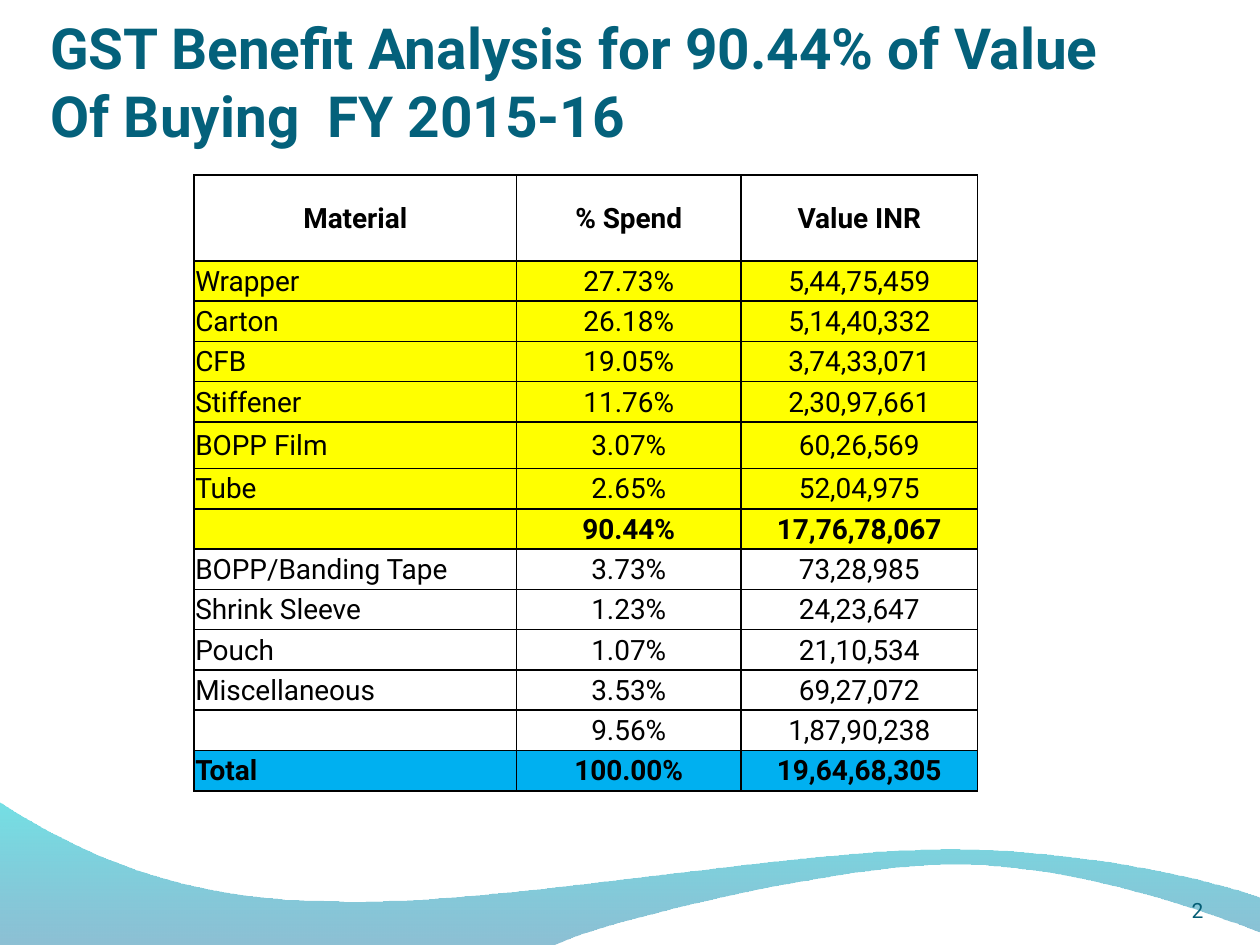
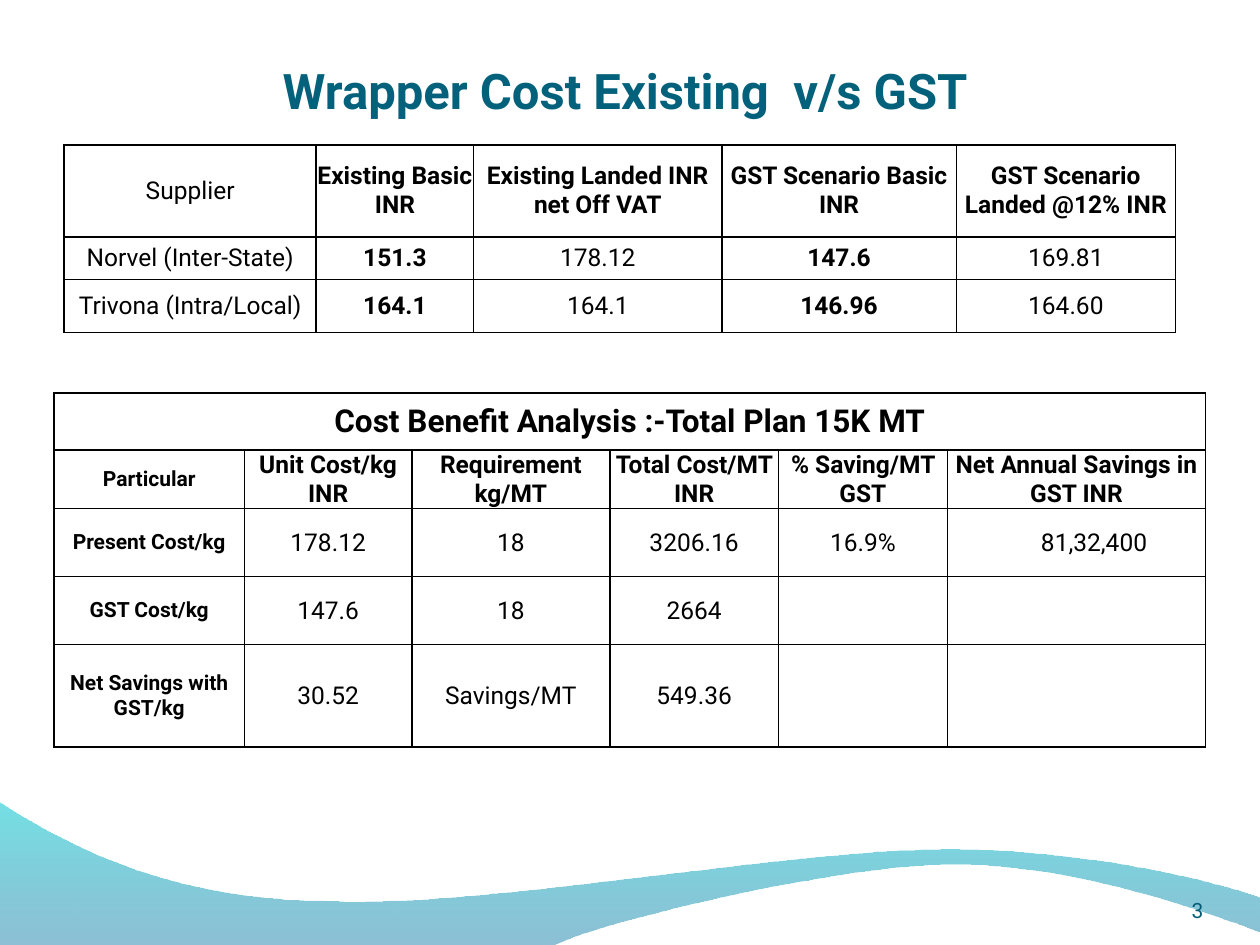
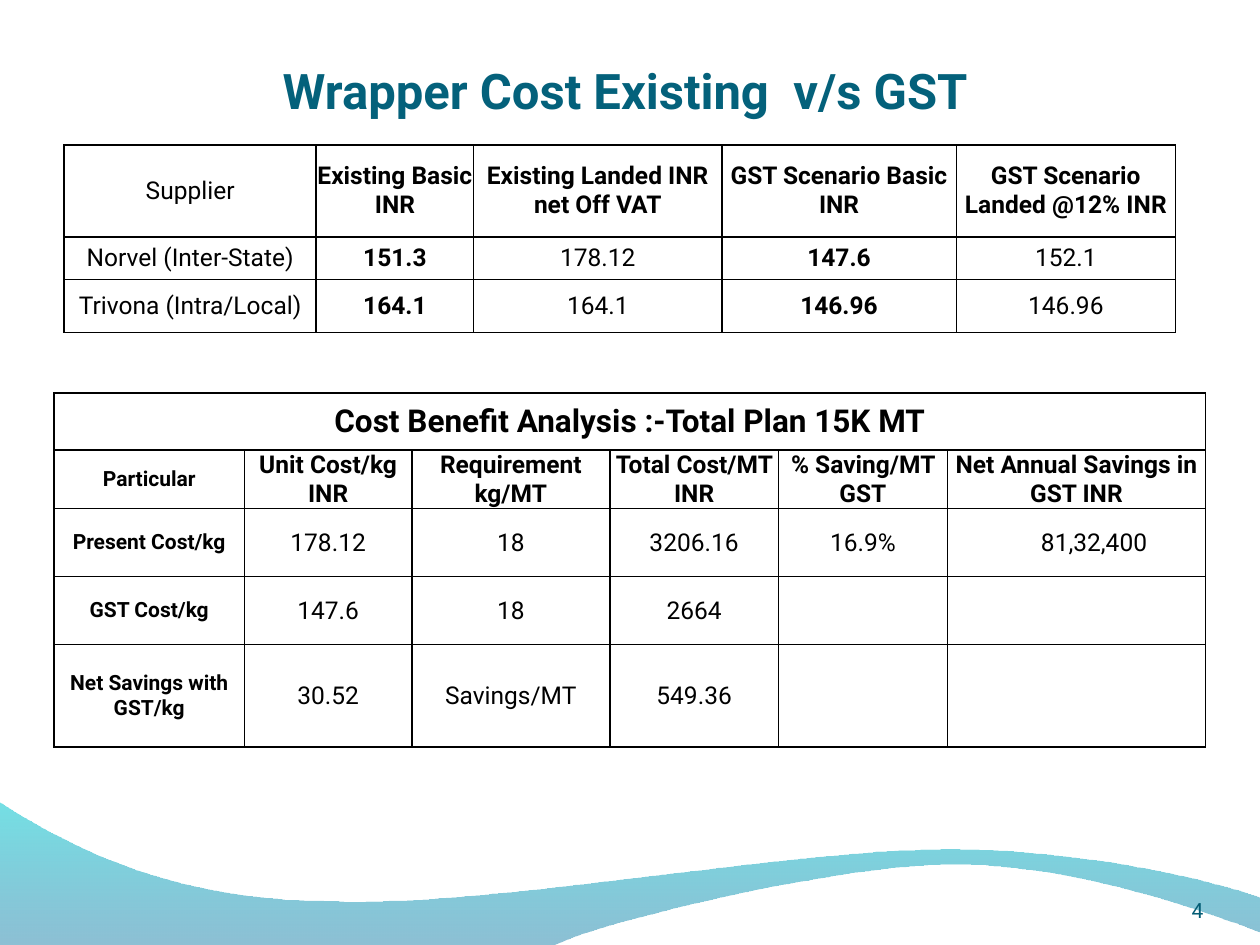
from lxml.etree import SubElement
from pptx import Presentation
from pptx.dml.color import RGBColor
from pptx.enum.text import MSO_ANCHOR as Anchor, PP_ALIGN as Align
from pptx.oxml.ns import qn
from pptx.util import Inches, Pt

# Shared look
WIDE, HIGH = 10, 7.5
FONT = "Roboto"
INK, TEAL, PAGE = "000000", "04617B", "045D75"
WHITE, YELLOW, BLUE = "FFFFFF", "FFFF00", "00B0F0"
FADE = [("0074A1", 45), ("00C6CF", 55)]  # bottom to top: colour, opacity %

# Wave outline: a point is a line end, three points are a curve
WAVE = [
    [(4.4, 7.5)],
    [(4.76, 7.32), (6.64, 6.86), (7.58, 6.86)],
    [(8.53, 6.86), (9.58, 7.24), (10, 7.4)],
    [(10.01, 7.13)],
    [(9.83, 7.05), (8.7, 6.73), (7.46, 6.74)],
    [(6.22, 6.74), (3.82, 7.21), (2.57, 7.15)],
    [(1.29, 7.14), (0.46, 6.66), (-0.01, 6.36)],
]

# Content
SPEND = [
    ("Material", "% Spend", "Value INR"),
    ("Wrapper", "27.73%", "5,44,75,459"),
    ("Carton", "26.18%", "5,14,40,332"),
    ("CFB", "19.05%", "3,74,33,071"),
    ("Stiffener", "11.76%", "2,30,97,661"),
    ("BOPP Film", "3.07%", "60,26,569"),
    ("Tube", "2.65%", "52,04,975"),
    ("", "90.44%", "17,76,78,067"),
    ("BOPP/Banding Tape", "3.73%", "73,28,985"),
    ("Shrink Sleeve", "1.23%", "24,23,647"),
    ("Pouch", "1.07%", "21,10,534"),
    ("Miscellaneous", "3.53%", "69,27,072"),
    ("", "9.56%", "1,87,90,238"),
    ("Total", "100.00%", "19,64,68,305"),
]
COSTS = [
    ("Supplier", "Existing Basic INR", "Existing Landed INR net Off VAT",
     "GST Scenario Basic INR", "GST Scenario Landed @12% INR"),
    ("Norvel (Inter-State)", "151.3", "178.12", "147.6"),
    ("Trivona (Intra/Local)", "164.1", "164.1", "146.96"),
]
LANDED = [("169.81", "164.60"), ("152.1", "146.96")]  # last column, by slide
PLAN = [
    ("Cost Benefit Analysis :-Total Plan 15K MT", "", "", "", "", ""),
    ("Particular", "Unit Cost/kg INR", "Requirement kg/MT",
     "Total Cost/MT INR", "% Saving/MT GST", "Net Annual Savings in GST INR"),
    ("Present Cost/kg", "178.12", "18", "3206.16", "16.9%", "81,32,400"),
    ("GST Cost/kg", "147.6", "18", "2664", "", ""),
    ("Net Savings with GST/kg", "30.52", "Savings/MT", "549.36", "", ""),
]


def tint(code):
    return RGBColor.from_string(code)


def write(frame, text, size, color, bold=False, align=Align.CENTER):
    line = frame.paragraphs[0]
    line.alignment = align
    run = line.add_run()
    run.text = text
    run.font.name, run.font.size, run.font.bold = FONT, Pt(size), bold
    run.font.color.rgb = tint(color)


def label(slide, text, box, size, color, pad=0, **look):
    frame = slide.shapes.add_textbox(*map(Inches, box)).text_frame
    frame.word_wrap = True
    frame.vertical_anchor = Anchor.BOTTOM
    frame.margin_left = frame.margin_right = Inches(pad)
    frame.margin_top = frame.margin_bottom = Inches(pad)
    write(frame, text, size, color, **look)


# Wave band at the foot
def trace(steps=24):
    dots, last = [], (0, HIGH)
    for part in WAVE:
        if len(part) == 1:
            dots += part
        else:
            a, b, c, d = last, *part
            for i in range(1, steps + 1):
                t = i / steps
                u = 1 - t
                dots.append(tuple(
                    u**3 * a[k] + 3 * u * u * t * b[k] + 3 * u * t * t * c[k] + t**3 * d[k]
                    for k in (0, 1)))
        last = part[-1]
    return [(Inches(x), Inches(y)) for x, y in dots]


def wave(slide):
    pen = slide.shapes.build_freeform(0, Inches(HIGH))
    pen.add_line_segments(trace(), close=True)
    band = pen.convert_to_shape()
    band.shadow.inherit = False
    band.line.fill.background()
    band.fill.gradient()
    band.fill.gradient_angle = 90
    for stop, place, (color, _) in zip(band.fill.gradient_stops, (0, 1), FADE):
        stop.position = place
        stop.color.rgb = tint(color)
    for node, (_, part) in zip(band.element.iter(qn("a:srgbClr")), FADE):
        SubElement(node, qn("a:alpha"), val=str(part * 1000))


# Tables
def edge(cell):
    props = cell._tc.get_or_add_tcPr()
    for side in ("lnL", "lnR", "lnT", "lnB"):
        line = SubElement(props, qn("a:" + side), w=str(Pt(1)))
        fill = SubElement(line, qn("a:solidFill"))
        SubElement(fill, qn("a:srgbClr"), val=INK)


def grid(slide, spot, cols, rows, data, style, pad=0):
    """style(row, col) gives size, bold, alignment and fill."""
    box = (*spot, sum(cols), sum(rows))
    table = slide.shapes.add_table(len(rows), len(cols), *map(Inches, box)).table
    table.first_row = table.horz_banding = False
    for col, width in zip(table.columns, cols):
        col.width = Inches(width)
    for row, height in zip(table.rows, rows):
        row.height = Inches(height)
    for r, words in enumerate(data):
        for c, text in enumerate(words):
            cell = table.cell(r, c)
            size, bold, align, fill = style(r, c)
            cell.margin_left = cell.margin_right = cell.margin_top = Inches(pad)
            cell.margin_bottom = 0
            cell.vertical_anchor = Anchor.MIDDLE
            edge(cell)
            if fill:
                cell.fill.solid()
                cell.fill.fore_color.rgb = tint(fill)
            else:
                cell.fill.background()
            write(cell.text_frame, text, size, INK, bold, align)
    return table


def spend_style(r, c):
    fill = YELLOW if 1 <= r <= 7 else BLUE if r == 13 else WHITE
    align = Align.LEFT if r and c == 0 else Align.CENTER
    return 16, r in (0, 7, 13), align, fill


def cost_style(r, c):
    return 14, c in (1, 3) or (r == 0 and c > 0), Align.CENTER, None


def plan_style(r, c):
    size = 18 if r == 0 else 12 if c == 0 else 14
    return size, r < 2 or c == 0, Align.CENTER, None


# Slides
def start(deck, number):
    slide = deck.slides.add_slide(deck.slide_layouts[6])
    wave(slide)
    label(slide, str(number), (9.17, 6.92, 0.67, 0.4), 12, PAGE)
    return slide


def spend(deck):
    slide = start(deck, 2)
    label(slide, "GST Benefit Analysis for 90.44% of Value Of Buying  FY 2015-16",
          (0.35, 0.21, 8.66, 1.02), 32.4, TEAL, 0.05, bold=True, align=Align.LEFT)
    rows = [0.68] + [0.32] * 4 + [0.37] + [0.32] * 8
    grid(slide, (1.54, 1.39), (2.56, 1.78, 1.88), rows, SPEND, spend_style, 0.01)


def wrapper(deck, number, landed):
    slide = start(deck, number)
    label(slide, "Wrapper Cost Existing  v/s GST", (0.5, 0.29, 8.92, 0.71),
          28, TEAL, 0.05, bold=True)
    costs = [COSTS[0]] + [(*row, end) for row, end in zip(COSTS[1:], landed)]
    grid(slide, (0.51, 1.15), (2, 1.25, 1.97, 1.86, 1.74), (0.73, 0.34, 0.42),
         costs, cost_style)
    plan = grid(slide, (0.43, 3.12), (1.51, 1.33, 1.57, 1.34, 1.34, 2.05),
                (0.45, 0.46, 0.54, 0.54, 0.81), PLAN, plan_style)
    plan.cell(0, 0).merge(plan.cell(0, 5))
    plan.cell(2, 5).margin_left = Inches(0.28)


def main():
    deck = Presentation()
    deck.slide_width, deck.slide_height = Inches(WIDE), Inches(HIGH)
    spend(deck)
    for number, landed in enumerate(LANDED, 3):
        wrapper(deck, number, landed)
    deck.save("out.pptx")


if __name__ == "__main__":
    main()
